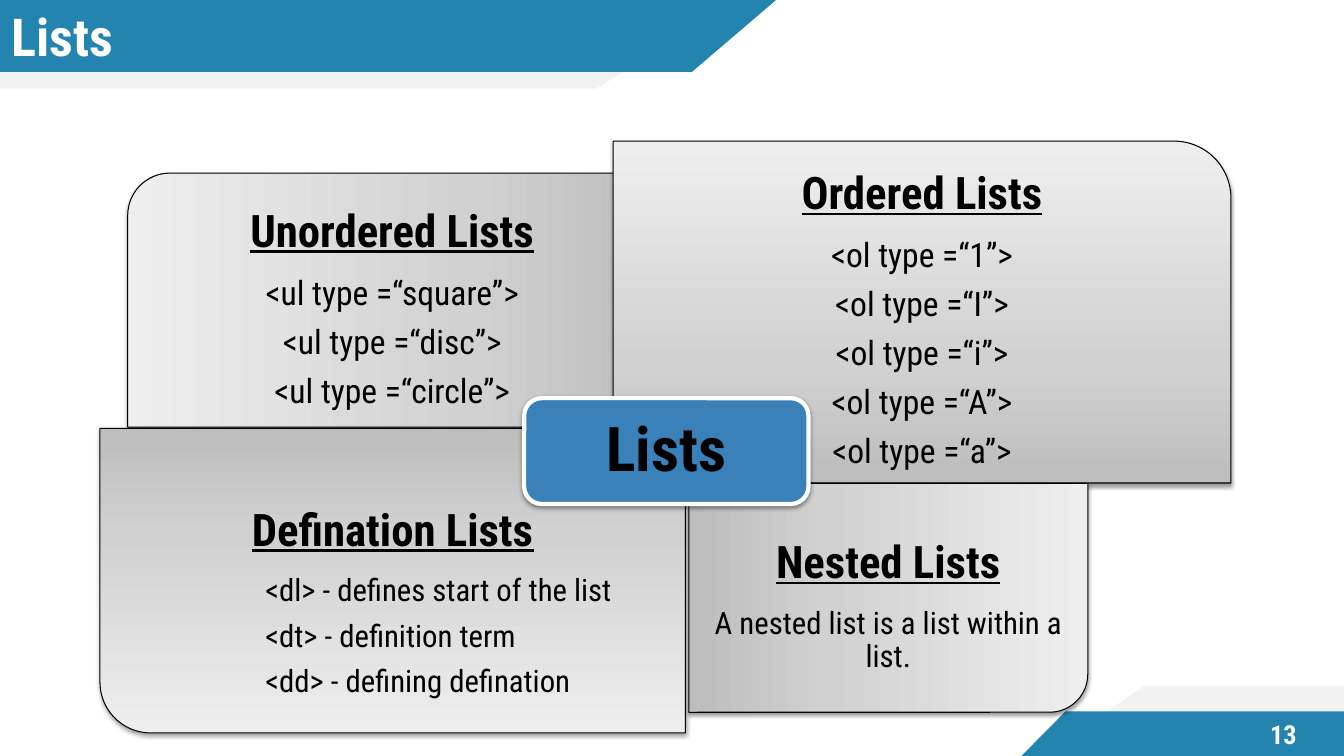
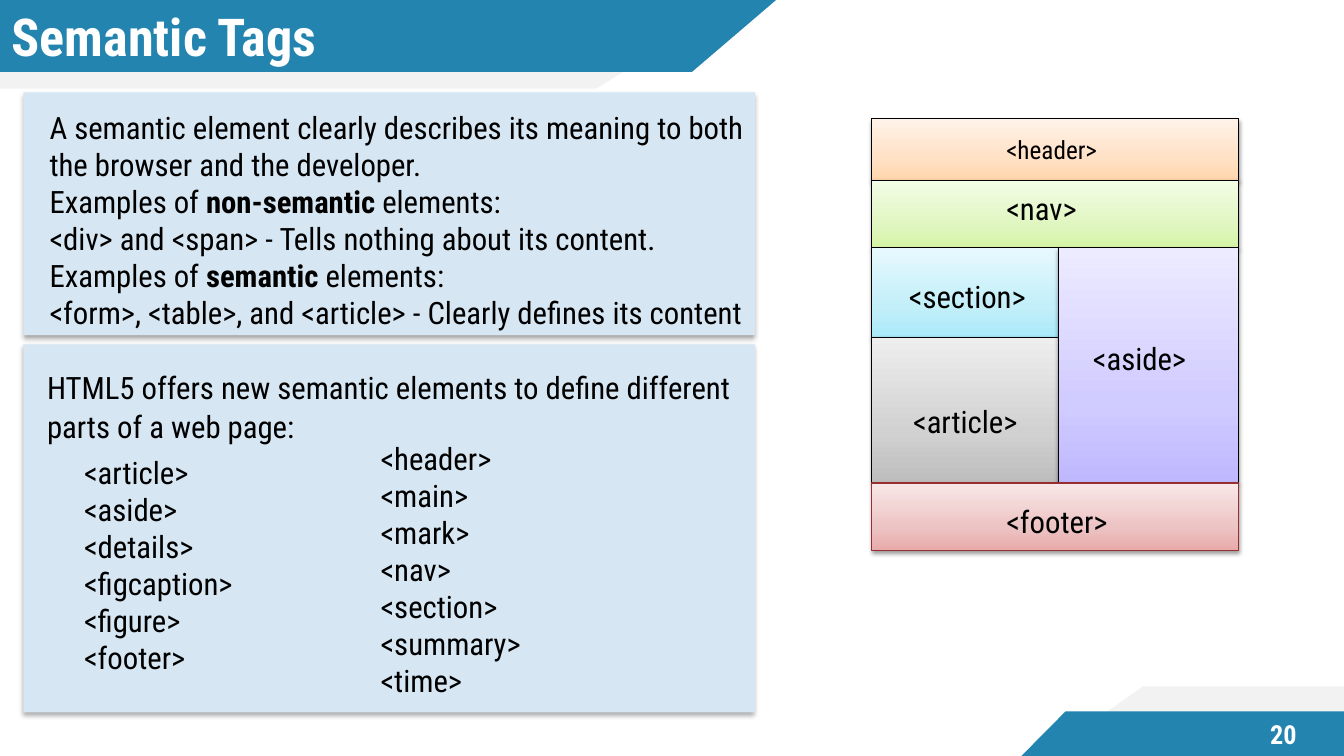
from copy import deepcopy
from dataclasses import dataclass
from typing import NamedTuple, Optional

from lxml import etree
from pptx import Presentation
from pptx.dml.color import RGBColor
from pptx.enum.shapes import MSO_SHAPE
from pptx.enum.text import MSO_ANCHOR, PP_ALIGN
from pptx.oxml.ns import qn
from pptx.util import Emu, Pt

RECT, ROUND_RECT = MSO_SHAPE.RECTANGLE, MSO_SHAPE.ROUNDED_RECTANGLE
ONE_ROUND = MSO_SHAPE.ROUND_1_RECTANGLE
TOP, MIDDLE = MSO_ANCHOR.TOP, MSO_ANCHOR.MIDDLE
LEFT, CENTER = PP_ALIGN.LEFT, PP_ALIGN.CENTER

# The slide is a grid of 160 columns by 90 rows of square cells.
COLUMNS, ROWS, CELL = 160, 90, 76200

FONT = "Roboto Condensed"
BLUE, PALE_GREY, CARD_BLUE, CENTRE_BLUE = "2384AF", "F2F2F2", "D6E6F2", "3A81BA"
BLACK, WHITE = "000000", "FFFFFF"
GREY_STOPS = ("BDBDBD", "D1D1D1", "EEEEEE")
STOP_POSITIONS = (0, 0.35, 1)

BANDS = (
    (PALE_GREY, ((0, 0), (88.3, 0), (70.95, 10.55), (0, 10.55))),
    (BLUE, ((0, 0), (92.4, 0), (82.4, 8.55), (0, 8.55))),
    (PALE_GREY, ((124.3, 90), (136.1, 81.7), (160, 81.7), (160, 90))),
    (BLUE, ((121.6, 90), (126.85, 84.7), (160, 84.7), (160, 90))),
)


class Box(NamedTuple):
    left: float
    top: float
    width: float
    height: float


class Shadow(NamedTuple):
    opacity: int
    blur: float
    distance: float


class Style(NamedTuple):
    size: float
    color: str = BLACK
    bold: bool = False
    underline: bool = False
    align: PP_ALIGN = LEFT
    line_spacing: Optional[float] = None
    space_after: float = 0
    indent: float = 0


@dataclass(frozen=True)
class Panel:
    box: Box
    rotation: int
    text_top: float
    heading: str
    lines: tuple[str, ...]
    style: Style


@dataclass(frozen=True)
class Region:
    """A part of the page sketch, with edges as indexes into its grid."""
    tag: str
    columns: tuple[int, int]
    rows: tuple[int, int]
    label: tuple[float, float]
    stops: tuple[str, str, str]
    size: float = 22
    outline: str = BLACK


PANEL_SHADOW, CARD_SHADOW = Shadow(38, 3.1, 1.6), Shadow(32, 3.5, 2.2)

TITLE = Style(37.3, WHITE, True)
PAGE_NUMBER = Style(18.7, WHITE, True, align=CENTER)
HEADING = Style(32, BLACK, True, True, CENTER, 0.9, 14)
TAG_LINE = Style(24, align=CENTER, line_spacing=0.9, space_after=9)
NOTE_LINE = Style(22, align=CENTER, line_spacing=0.9, space_after=8.5)
INDENTED_LINE = NOTE_LINE._replace(align=LEFT, indent=17.2)
CENTRE_LABEL = Style(44, BLACK, True, align=CENTER, line_spacing=0.9)
BODY = Style(22)

PANELS = (
    Panel(Box(15.2, 20.6, 63, 30.25), 270, 4.2, "Unordered Lists",
          ("<ul type =“square”>", "<ul type =“disc”>", "<ul type =“circle”>"),
          TAG_LINE),
    Panel(Box(73, 16.8, 73.55, 40.7), 0, 3.5, "Ordered Lists",
          tuple(f"<ol type =“{kind}”>" for kind in "1IiAa"), TAG_LINE),
    Panel(Box(11.9, 51, 69.7, 36.25), 180, 9.4, "Defination Lists",
          ("<dl> - defines start of the list", "<dt> - definition term",
           "<dd> - defining defination"), INDENTED_LINE),
    Panel(Box(82, 57.55, 47.5, 27.25), 90, 6.7, "Nested Lists",
          ("A nested list is a list within a list.",), NOTE_LINE),
)

SKETCH_X = (103.8, 126, 147.5)
SKETCH_Y = (14.15, 21.45, 29.5, 40.2, 57.5, 65.5)
REGIONS = (
    Region("<header>", (0, 2), (0, 1), (16, 1.8),
           ("FFD6AD", "FFE1C5", "FFF3E9"), size=18),
    Region("<nav>", (0, 2), (1, 2), (16, 1.1), ("D5F4A6", "E0F6C1", "F3FDE7")),
    Region("<section>", (0, 1), (2, 3), (4.4, 3.6),
           ("A9E9F9", "C3EFF9", "E7F9FE")),
    Region("<article>", (0, 1), (3, 4), (4.9, 7.8), GREY_STOPS),
    Region("<aside>", (1, 2), (2, 4), (4.1, 11), ("BFB8FF", "D1CCFF", "EDEBFF")),
    Region("<footer>", (0, 2), (4, 5), (16, 2.3),
           ("E8AAAA", "EDC4C4", "F9E8E8"), outline="952F30"),
)

# Words between bars are bold.
SEMANTIC_LINES = (
    "A semantic element clearly describes its meaning to both",
    "the browser and the developer.",
    "Examples of |non-semantic| elements:",
    "<div> and <span> - Tells nothing about its content.",
    "Examples of |semantic| elements:",
    "<form>, <table>, and <article> - Clearly defines its content",
)
HTML5_INTRO = ("HTML5 offers new semantic elements to define different "
               "parts of a web page:")
TAG_COLUMNS = (
    (Box(10, 54, 21, 33), ("article", "aside", "details", "figcaption",
                           "figure", "footer")),
    (Box(45.3, 52.4, 34, 35), ("header", "main", "mark", "nav", "section",
                               "summary", "time")),
)


def cells(count: float) -> Emu:
    return Emu(round(count * CELL))


def rgb(value: str) -> RGBColor:
    return RGBColor.from_string(value)


def set_shadow(shape, shadow: Shadow) -> None:
    shape.shadow.inherit = False
    effects = shape.element.spPr.find(qn("a:effectLst"))
    outer = etree.SubElement(
        effects, qn("a:outerShdw"), blurRad=str(Pt(shadow.blur)),
        dist=str(Pt(shadow.distance)), dir="5400000", rotWithShape="0")
    color = etree.SubElement(outer, qn("a:srgbClr"), val=BLACK)
    etree.SubElement(color, qn("a:alpha"), val=str(shadow.opacity * 1000))


def set_gradient(shape, stops: tuple[str, str, str]) -> None:
    """Fill upwards, from the first stop at the bottom."""
    shape.fill.gradient()
    shape.fill.gradient_angle = 90
    stop_list = shape.element.spPr.find(qn("a:gradFill")).find(qn("a:gsLst"))
    stop_list.append(deepcopy(stop_list[-1]))
    for stop, color, position in zip(shape.fill.gradient_stops, stops,
                                     STOP_POSITIONS):
        stop.color.rgb = rgb(color)
        stop.position = position


def add_block(slide, kind: MSO_SHAPE, box: Box, fill: str | tuple[str, str, str],
              shadow: Shadow, outline: Optional[str] = None,
              outline_width: float = 0.75):
    block = slide.shapes.add_shape(kind, *map(cells, box))
    if isinstance(fill, str):
        block.fill.solid()
        block.fill.fore_color.rgb = rgb(fill)
    else:
        set_gradient(block, fill)
    if outline:
        block.line.color.rgb = rgb(outline)
        block.line.width = Pt(outline_width)
    else:
        block.line.fill.background()
    set_shadow(block, shadow)
    return block


def write(shape, lines: tuple[tuple[str, Style], ...], anchor: MSO_ANCHOR = TOP,
          left: float = 0, top: float = 0, right: float = 0) -> None:
    frame = shape.text_frame
    frame.word_wrap = True
    frame.vertical_anchor = anchor
    frame.margin_left, frame.margin_top = cells(left), cells(top)
    frame.margin_right, frame.margin_bottom = cells(right), 0
    for index, (line, style) in enumerate(lines):
        paragraph = frame.add_paragraph() if index else frame.paragraphs[0]
        paragraph.alignment = style.align
        paragraph.space_after = Pt(style.space_after)
        if style.line_spacing:
            paragraph.line_spacing = style.line_spacing
        font = paragraph.font
        font.name, font.size = FONT, Pt(style.size)
        font.bold, font.underline = style.bold, style.underline
        font.color.rgb = rgb(style.color)
        if style.indent:
            paragraph._p.get_or_add_pPr().set("marL", str(cells(style.indent)))
        for part, words in enumerate(line.split("|")):
            run = paragraph.add_run()
            run.text = words
            if part % 2:
                run.font.bold = True


def add_text(slide, box: Box, lines: tuple[tuple[str, Style], ...],
             anchor: MSO_ANCHOR = TOP, left: float = 0, top: float = 0,
             right: float = 0) -> None:
    write(slide.shapes.add_textbox(*map(cells, box)), lines, anchor,
          left, top, right)


def styled(lines: tuple[str, ...], style: Style) -> tuple[tuple[str, Style], ...]:
    return tuple((line, style) for line in lines)


def add_base_slide(deck, title: str, number: int):
    """Add a slide with the bands, title and page number that all share."""
    slide = deck.slides.add_slide(deck.slide_layouts[6])
    for color, corners in BANDS:
        start, *others = [(cells(x), cells(y)) for x, y in corners]
        outline = slide.shapes.build_freeform(*start)
        outline.add_line_segments(others, close=True)
        band = outline.convert_to_shape()
        band.fill.solid()
        band.fill.fore_color.rgb = rgb(color)
        band.line.fill.background()
        band.shadow.inherit = False
    add_text(slide, Box(0, 0.5, 88.3, 7.5), ((title, TITLE),), MIDDLE, left=1.4)
    add_text(slide, Box(147.5, 84.85, 10.55, 5.15),
             ((str(number), PAGE_NUMBER),), MIDDLE)
    return slide


def add_panel(slide, panel: Panel) -> None:
    left, top, width, height = panel.box
    frame = panel.box
    if panel.rotation % 180:
        frame = Box(left + (width - height) / 2, top + (height - width) / 2,
                    height, width)
    block = add_block(slide, ONE_ROUND, frame, GREY_STOPS, PANEL_SHADOW, BLACK)
    block.rotation = panel.rotation
    add_text(slide, panel.box,
             ((panel.heading, HEADING),) + styled(panel.lines, panel.style),
             left=2.5, top=panel.text_top, right=2.5)


def add_region(slide, region: Region) -> None:
    left, right = (SKETCH_X[edge] for edge in region.columns)
    top, bottom = (SKETCH_Y[edge] for edge in region.rows)
    block = add_block(slide, RECT, Box(left, top, right - left, bottom - top),
                      region.stops, PANEL_SHADOW, region.outline)
    indent, drop = region.label
    write(block, ((region.tag, Style(region.size)),), left=indent, top=drop)


def build_lists(deck) -> None:
    slide = add_base_slide(deck, "Lists", 13)
    for panel in PANELS:
        add_panel(slide, panel)
    centre = add_block(slide, ROUND_RECT, Box(62.4, 47.4, 33.85, 12.6),
                       CENTRE_BLUE, PANEL_SHADOW, WHITE, 3)
    write(centre, (("Lists", CENTRE_LABEL),), MIDDLE)


def build_semantic_tags(deck) -> None:
    slide = add_base_slide(deck, "Semantic Tags", 20)
    meaning = add_block(slide, RECT, Box(2.8, 11, 87.1, 28.9), CARD_BLUE,
                        CARD_SHADOW)
    write(meaning, styled(SEMANTIC_LINES, BODY), left=3.1, top=1.95, right=0.5)
    html5 = add_block(slide, RECT, Box(2.8, 41, 87.1, 43.8), CARD_BLUE,
                      CARD_SHADOW)
    write(html5, ((HTML5_INTRO, BODY._replace(line_spacing=1.08)),),
          left=2.8, top=2.5, right=0.5)
    for box, tags in TAG_COLUMNS:
        add_text(slide, box, styled(tuple(f"<{tag}>" for tag in tags), BODY))
    for region in REGIONS:
        add_region(slide, region)


def main() -> None:
    deck = Presentation()
    deck.slide_width, deck.slide_height = cells(COLUMNS), cells(ROWS)
    build_lists(deck)
    build_semantic_tags(deck)
    deck.save("out.pptx")


if __name__ == "__main__":
    main()
